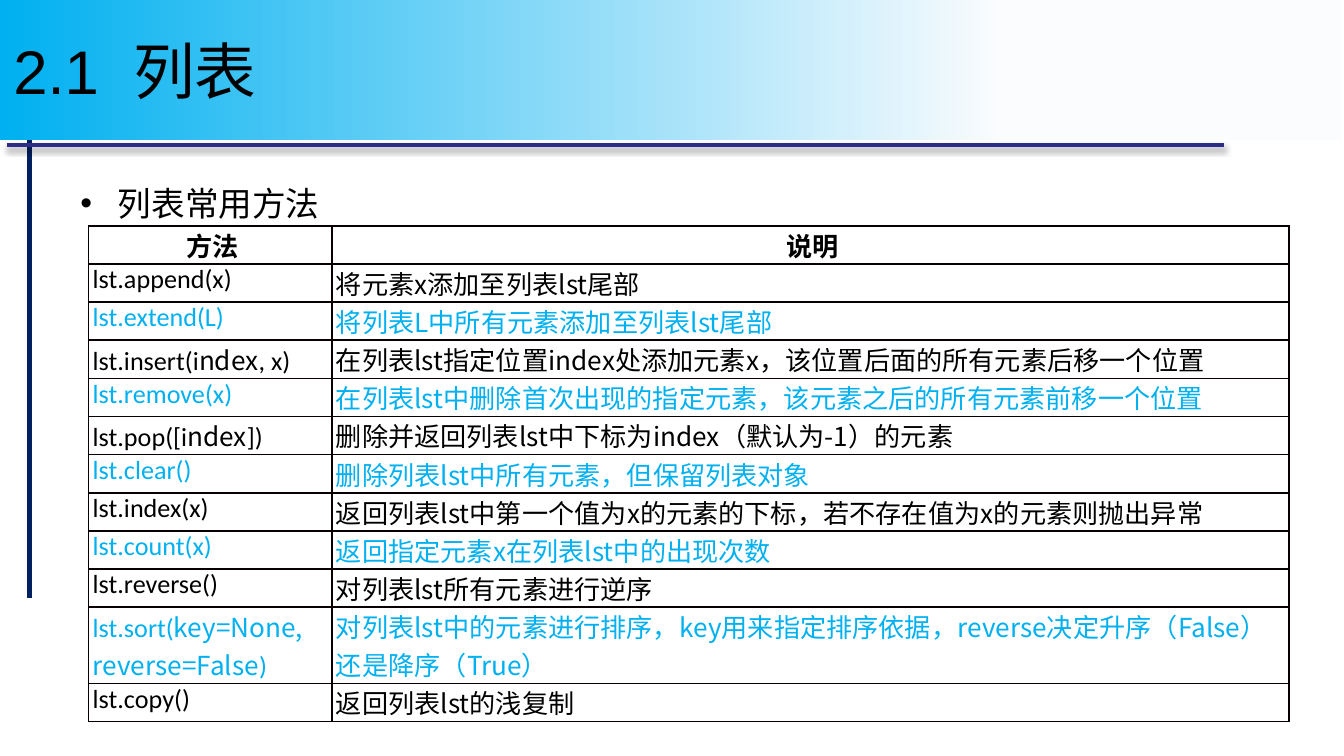
from dataclasses import dataclass
from itertools import cycle

from lxml import etree
from pptx import Presentation
from pptx.dml.color import RGBColor
from pptx.enum.shapes import MSO_CONNECTOR
from pptx.enum.text import MSO_ANCHOR, MSO_AUTO_SIZE, PP_ALIGN
from pptx.oxml import parse_xml
from pptx.oxml.ns import nsdecls, qn
from pptx.util import Inches, Pt

STRAIGHT = MSO_CONNECTOR.STRAIGHT
LEFT, CENTER = PP_ALIGN.LEFT, PP_ALIGN.CENTER
MIDDLE = MSO_ANCHOR.MIDDLE
NO_AUTOFIT = MSO_AUTO_SIZE.NONE
TITLE_ONLY = 5
UNIT = 0.1  # inches in one grid column or row
COLUMNS, ROWS = 100, 56.25


@dataclass(frozen=True)
class Theme:
    ink: str = "000000"
    accent: str = "00B0F0"
    pale: str = "FBFCFE"
    navy: str = "002060"
    indigo: str = "2D2D89"
    border: str = "080000"
    heading_font: str = "Arial"
    code_font: str = "Calibri"
    text_font: str = "Noto Sans CJK SC"
    title_size: float = 33
    body_size: float = 18
    table_size: float = 14
    rule_width: float = 2.25
    border_width: float = 1


# A bar in a method name switches between the code font and the text font.
METHODS = [
    ("lst.append(x)", "将元素x添加至列表lst尾部"),
    ("lst.extend(L)", "将列表L中所有元素添加至列表lst尾部"),
    ("lst.insert(i|ndex|, x)", "在列表lst指定位置index处添加元素x，该位置后面的所有元素后移一个位置"),
    ("lst.remove(x)", "在列表lst中删除首次出现的指定元素，该元素之后的所有元素前移一个位置"),
    ("lst.pop([i|ndex|])", "删除并返回列表lst中下标为index（默认为-1）的元素"),
    ("lst.clear()", "删除列表lst中所有元素，但保留列表对象"),
    ("lst.index(x)", "返回列表lst中第一个值为x的元素的下标，若不存在值为x的元素则抛出异常"),
    ("lst.count(x)", "返回指定元素x在列表lst中的出现次数"),
    ("lst.reverse()", "对列表lst所有元素进行逆序"),
    ("lst.sort(|key=None, reverse=False|)",
     "对列表lst中的元素进行排序，key用来指定排序依据，reverse决定升序（False）还是降序（True）"),
    ("lst.copy()", "返回列表lst的浅复制"),
]


def grid(*values):
    return [Inches(value * UNIT) for value in values]


def add_text(paragraph, text, *, font, size, color, bold=False, align=LEFT):
    paragraph.alignment = align
    run = paragraph.add_run()
    run.text = text
    run.font.name = font
    run.font.size = Pt(size)
    run.font.bold = bold
    run.font.color.rgb = RGBColor.from_string(color)
    east_asian = etree.SubElement(run.font._element, qn("a:ea"))
    east_asian.set("typeface", font)


class SlideBuilder:
    def __init__(self, presentation, theme):
        self.theme = theme
        layout = presentation.slide_layouts[TITLE_ONLY]
        self.slide = presentation.slides.add_slide(layout)

    def rule(self, start, end, color, shadow=False):
        line = self.slide.shapes.add_connector(STRAIGHT, *grid(*start, *end))
        line.line.color.rgb = RGBColor.from_string(color)
        line.line.width = Pt(self.theme.rule_width)
        effects = etree.SubElement(line._element.spPr, qn("a:effectLst"))
        if shadow:
            effects.append(parse_xml(
                f'<a:outerShdw {nsdecls("a")} blurRad="{Pt(3.1)}" dist="{Pt(1.8)}" '
                'dir="5400000" rotWithShape="0"><a:srgbClr val="000000">'
                '<a:alpha val="35000"/></a:srgbClr></a:outerShdw>'))

    def title(self, text, box):
        title = self.slide.shapes.title
        title.left, title.top, title.width, title.height = grid(*box)
        # Bring the band in front of the rules
        self.slide.shapes._spTree.append(title._element)
        title.fill.gradient()
        title.fill.gradient_angle = 180
        stops = ((0.25, self.theme.pale), (1, self.theme.accent))
        for stop, (position, color) in zip(title.fill.gradient_stops, stops):
            stop.position = position
            stop.color.rgb = RGBColor.from_string(color)
        frame = title.text_frame
        frame.auto_size = NO_AUTOFIT
        frame.vertical_anchor = MIDDLE
        add_text(frame.paragraphs[0], text, font=self.theme.heading_font,
                 size=self.theme.title_size, color=self.theme.ink)

    def bullet(self, text, box, indent):
        frame = self.slide.shapes.add_textbox(*grid(*box)).text_frame
        frame.word_wrap = True
        paragraph = frame.paragraphs[0]
        add_text(paragraph, text, font=self.theme.heading_font,
                 size=self.theme.body_size, color=self.theme.ink)
        paragraph.space_before = Pt(0.15 * self.theme.body_size)
        properties = paragraph._p.get_or_add_pPr()
        properties.set("marL", str(Inches(indent * UNIT)))
        properties.set("indent", str(-Inches(indent * UNIT)))
        etree.SubElement(properties, qn("a:buFont")).set("typeface", self.theme.heading_font)
        etree.SubElement(properties, qn("a:buChar")).set("char", "•")

    def cell(self, cell, text, fonts, color, **style):
        cell.margin_left = Inches(0.03)
        cell.margin_right = cell.margin_top = cell.margin_bottom = 0
        paragraph = cell.text_frame.paragraphs[0]
        for part, font in zip(text.split("|"), cycle(fonts)):
            add_text(paragraph, part, font=font, size=self.theme.table_size,
                     color=color, **style)
        properties = cell._tc.get_or_add_tcPr()
        for side in ("lnL", "lnR", "lnT", "lnB"):
            properties.append(parse_xml(
                f'<a:{side} {nsdecls("a")} w="{Pt(self.theme.border_width)}"><a:solidFill>'
                f'<a:srgbClr val="{self.theme.border}"/></a:solidFill></a:{side}>'))
        cell.fill.background()

    def table(self, headings, rows, box, widths):
        theme = self.theme
        shape = self.slide.shapes.add_table(len(rows) + 1, len(headings), *grid(*box))
        table = shape.table
        table.first_row = table.horz_banding = False
        for column, width in zip(table.columns, grid(*widths)):
            column.width = width
        for index, heading in enumerate(headings):
            self.cell(table.cell(0, index), heading, [theme.text_font], theme.ink,
                      bold=True, align=CENTER)
        # Row colours alternate
        for index, (row, color) in enumerate(zip(rows, cycle((theme.ink, theme.accent))), 1):
            method, description = row
            self.cell(table.cell(index, 0), method, [theme.code_font, theme.text_font], color)
            self.cell(table.cell(index, 1), description, [theme.text_font], color)


def main():
    presentation = Presentation()
    presentation.slide_width, presentation.slide_height = grid(COLUMNS, ROWS)
    theme = Theme()
    builder = SlideBuilder(presentation, theme)

    # Frame rules
    builder.rule((2.2, 8.1), (2.2, 44.5), theme.navy)
    builder.rule((0.5, 10.8), (91.1, 10.8), theme.indigo, shadow=True)

    # Heading and topic
    builder.bullet("列表常用方法", (5, 13.1, 90, 37.1), indent=2.8)
    builder.title("2.1  列表", (0, 0, 99.8, 10.4))

    # Method table; rows grow to fit their text
    builder.table(("方法", "说明"), METHODS, (6.6, 16.8, 89.3, 31.1), (18.1, 71.2))

    presentation.save("out.pptx")


if __name__ == "__main__":
    main()
